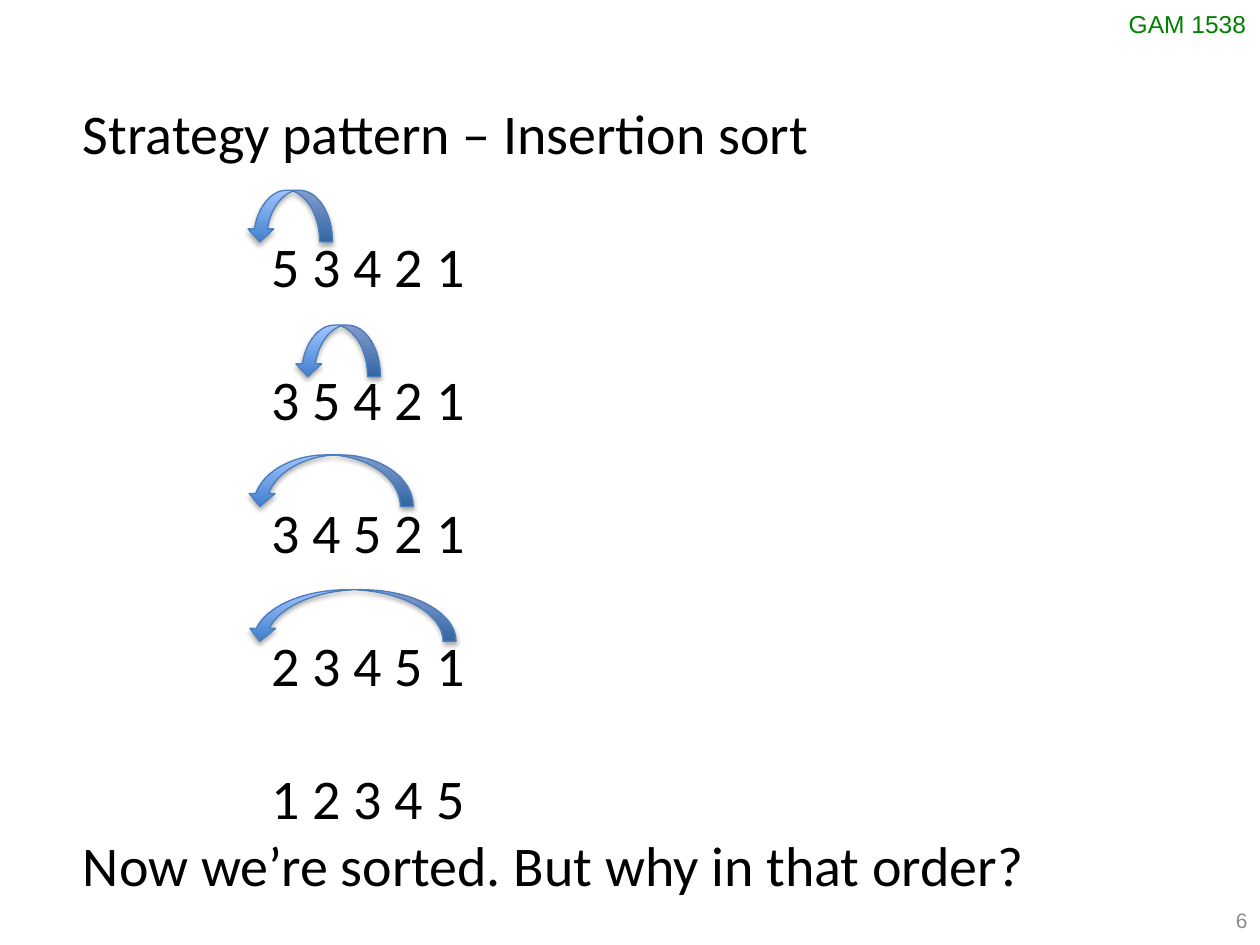
from lxml import etree
from pptx import Presentation, util as u
from pptx.dml.color import RGBColor
from pptx.enum import shapes, text
from pptx.oxml.ns import qn

COLORS = {
    "course": "008000",
    "number": "8C8C8C",
    "body": "000000",
    "arrow_low": "3F80CE",
    "arrow_high": "A4C4FF",
    "arrow_line": "4B7EBC",
    "shadow": "000000",
}
STEPS = ["5 3 4 2 1", "3 5 4 2 1", "3 4 5 2 1", "2 3 4 5 1", "1 2 3 4 5"]
MOVES = [(1.96, 1.51, 0.68), (2.34, 2.58, 0.68), (1.96, 3.61, 1.32), (1.96, 4.68, 1.66)]
ARROW_HEIGHT = 0.41


def color(name):
    return RGBColor.from_string(COLORS[name])


def add_text(page, place, lines, font, size, tint, wrap=True):
    box = page.shapes.add_textbox(*map(u.Inches, place))
    frame = box.text_frame
    frame.word_wrap = wrap
    frame.text = "\n".join(lines)
    for para in frame.paragraphs:
        for span in para.runs:
            span.font.name = font
            span.font.size = u.Pt(size)
            span.font.color.rgb = color(tint)
    return frame


def add_shadow(shape):
    shape.shadow.inherit = False
    effects = shape._element.spPr.find(qn("a:effectLst"))
    shadow = etree.SubElement(
        effects, qn("a:outerShdw"), blurRad=str(u.Pt(3.1)), dist=str(u.Pt(1.8)),
        dir="5400000", rotWithShape="0")
    tint = etree.SubElement(shadow, qn("a:srgbClr"), val=COLORS["shadow"])
    etree.SubElement(tint, qn("a:alpha"), val="35000")


def add_move_arrow(page, left, top, width):
    arrow = page.shapes.add_shape(
        shapes.MSO_SHAPE.CURVED_DOWN_ARROW,
        *map(u.Inches, (left, top, width, ARROW_HEIGHT)))
    arrow._element.spPr.find(qn("a:xfrm")).set("flipH", "1")
    arrow.fill.gradient()
    arrow.fill.gradient_angle = 90
    for stop, name in zip(arrow.fill.gradient_stops, ("arrow_low", "arrow_high")):
        stop.color.rgb = color(name)
    arrow.line.color.rgb = color("arrow_line")
    arrow.line.width = u.Pt(0.75)
    add_shadow(arrow)


def add_sort_steps(page):
    lines = ["Strategy pattern – Insertion sort", *STEPS,
             "Now we’re sorted. But why in that order?"]
    frame = add_text(page, (0.56, 0.73, 9, 6.56), lines, "Calibri", 32, "body")
    for para in frame.paragraphs[1:-1]:
        para.space_before = u.Pt(37.6)
        para._p.get_or_add_pPr().set("marL", str(u.Inches(1.5)))


def main():
    deck = Presentation()
    deck.slide_width, deck.slide_height = u.Inches(10), u.Inches(7.5)
    page = deck.slides.add_slide(deck.slide_layouts[6])
    add_text(page, (8.86, 0.02, 1.14, 0.34), ["GAM 1538"], "Arial", 14, "course", wrap=False)
    number = add_text(page, (7.67, 7.1, 2.33, 0.4), ["6"], "Arial", 12, "number")
    number.vertical_anchor = text.MSO_ANCHOR.MIDDLE
    number.paragraphs[0].alignment = text.PP_ALIGN.RIGHT
    add_sort_steps(page)
    for move in MOVES:
        add_move_arrow(page, *move)
    deck.save("out.pptx")


main()
